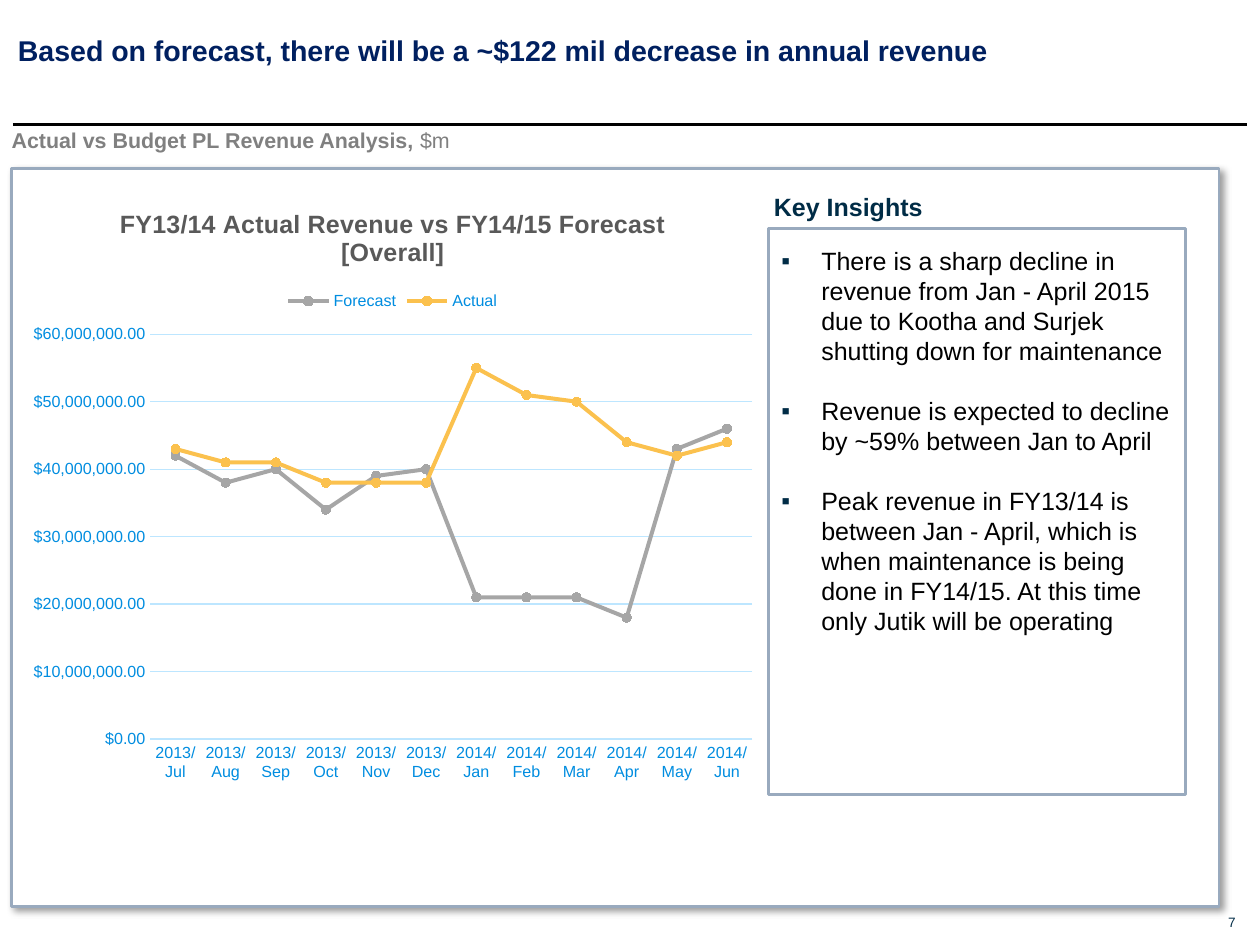
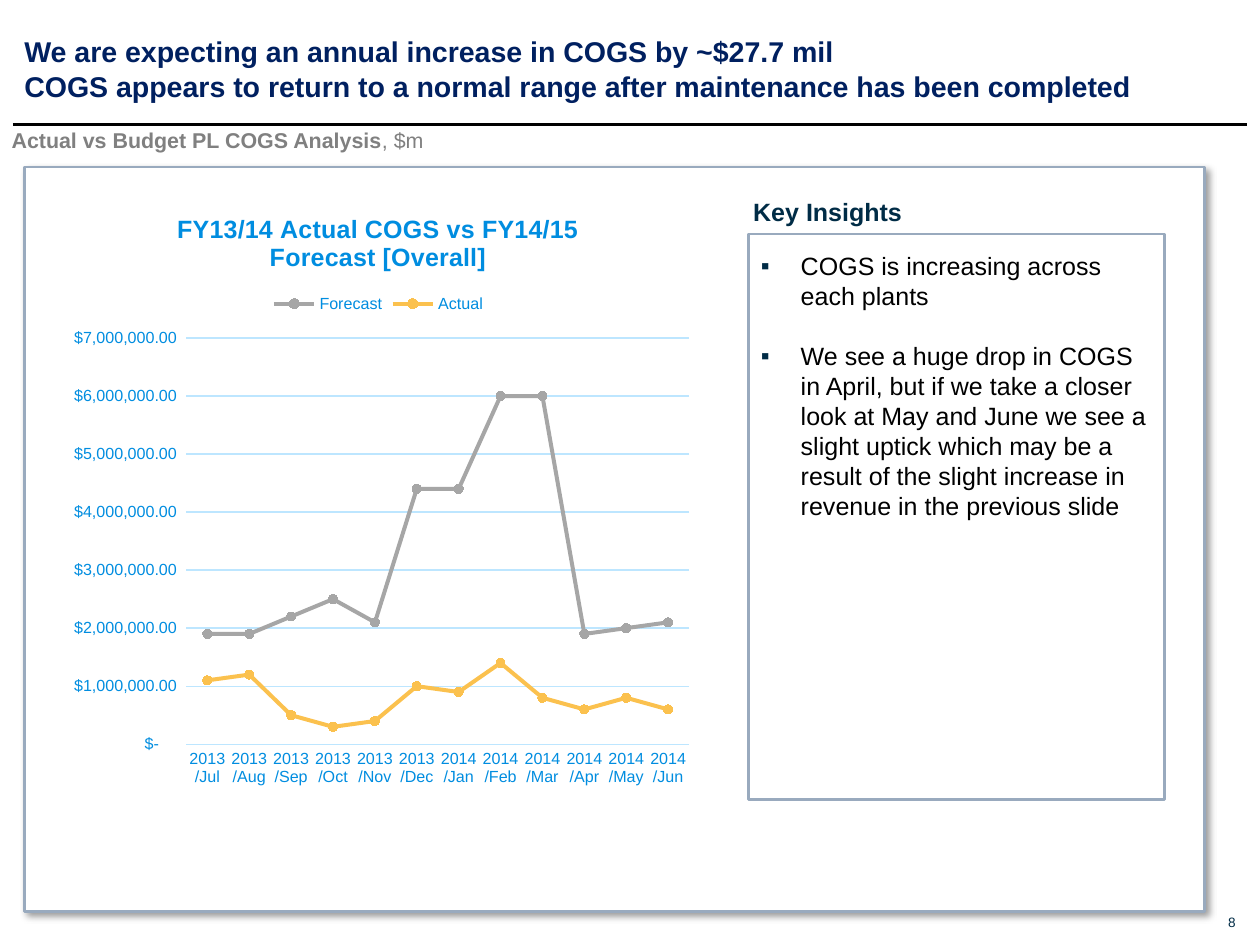
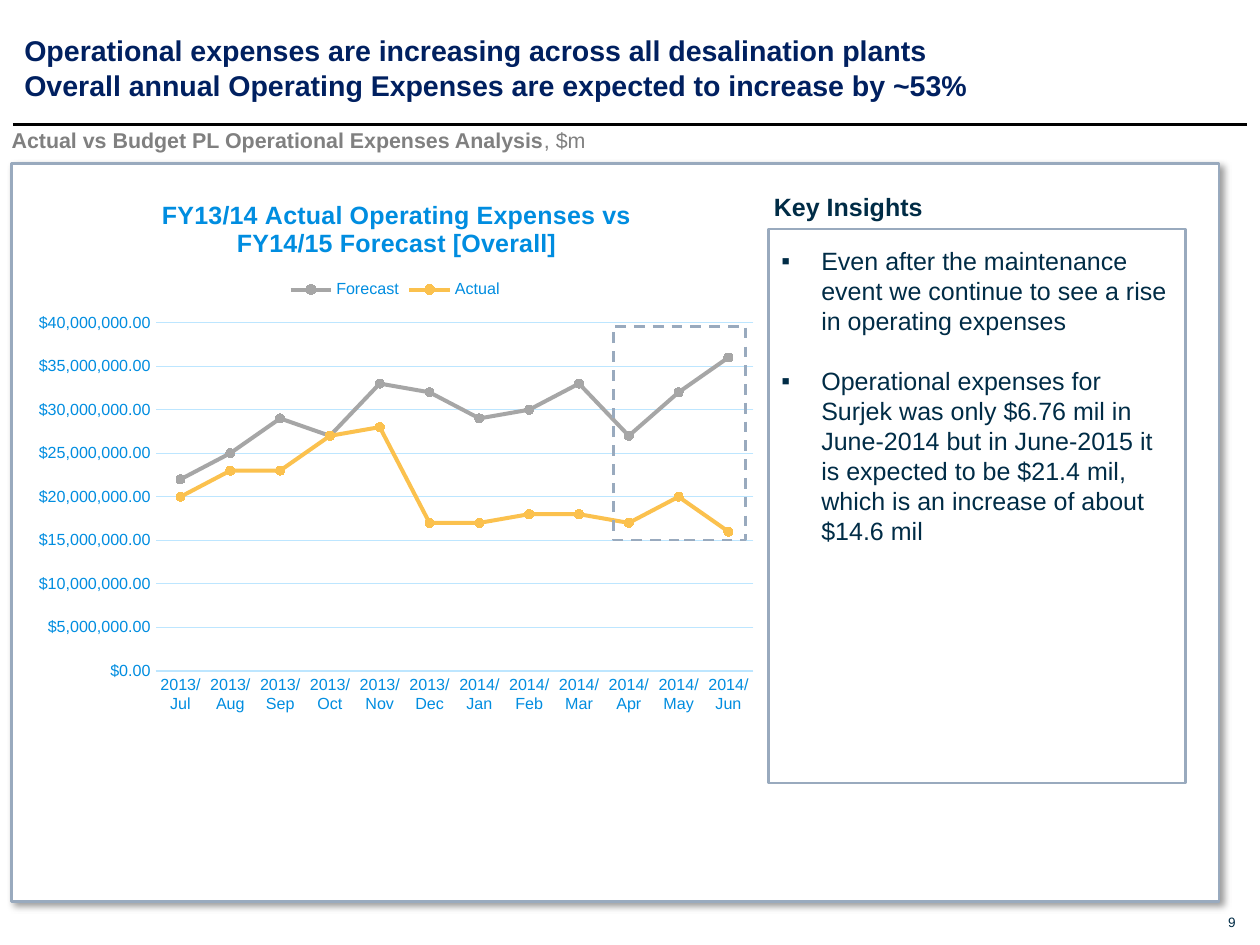
from lxml import etree
from pptx import Presentation
from pptx.chart.data import CategoryChartData
from pptx.dml.color import RGBColor
from pptx.enum import chart as ch, dml, shapes, text
from pptx.oxml import parse_xml
from pptx.oxml.ns import qn
from pptx.util import Inches, Pt

FONT = "Arial"
BLACK = RGBColor(0, 0, 0)
WHITE = RGBColor(0xFF, 0xFF, 0xFF)
NAVY = RGBColor(0x00, 0x20, 0x60)
INK = RGBColor(0x00, 0x2C, 0x46)
GRAY = RGBColor(0x80, 0x80, 0x80)
DARK = RGBColor(0x59, 0x59, 0x59)
EDGE = RGBColor(0x99, 0xAA, 0xBE)
BLUE = RGBColor(0x00, 0x8D, 0xE0)
GRID = RGBColor(0xBD, 0xE6, 0xFF)
SILVER = RGBColor(0xA6, 0xA6, 0xA6)
GOLD = RGBColor(0xFB, 0xC1, 0x4E)

MONTHS = ["2013/" + m for m in "Jul Aug Sep Oct Nov Dec".split()]
MONTHS += ["2014/" + m for m in "Jan Feb Mar Apr May Jun".split()]
MILLION = 1_000_000
DOLLARS = '"$"#,##0.00;[Red]\\-"$"#,##0.00'
LEDGER = '_("$"* #,##0.00_);_("$"* \\(#,##0.00\\);_("$"* "-"??_);_(@_)'
A_NS = 'xmlns:a="http://schemas.openxmlformats.org/drawingml/2006/main"'
SHADOW = (f'<a:effectLst {A_NS}><a:outerShdw blurRad="50800" dist="38100" '
          'dir="2700000" algn="tl" rotWithShape="0"><a:srgbClr val="000000">'
          '<a:alpha val="40000"/></a:srgbClr></a:outerShdw></a:effectLst>')


def style(font, size, color, bold=False):
    font.name, font.size, font.bold = FONT, Pt(size), bold
    font.color.rgb = color


def layout(box, frame, inner=False):
    """Manual chart layout: box and frame are in slide inches."""
    left, top, width, height = frame
    values = [("x", (box[0] - left) / width), ("y", (box[1] - top) / height)]
    if inner:
        values += [("w", box[2] / width), ("h", box[3] / height)]
    root = etree.Element(qn("c:layout"))
    manual = etree.SubElement(root, qn("c:manualLayout"))
    modes = [("layoutTarget", "inner")] if inner else []
    modes += [("xMode", "edge"), ("yMode", "edge")]
    for name, val in modes + [(n, f"{v:.4f}") for n, v in values]:
        etree.SubElement(manual, qn("c:" + name)).set("val", val)
    return root


class Deck:
    def __init__(self):
        self.prs = Presentation()
        self.prs.slide_width, self.prs.slide_height = Inches(9.8), Inches(7.35)
        self.slide = None

    def page(self, number, title, at, topic, unit):
        """Start a slide with its title, rule, subtitle and number."""
        self.slide = self.prs.slides.add_slide(self.prs.slide_layouts[6])
        self.rule()
        self.text((9.48, 7.11, 0.13, 0.13), [[(str(number), False)]], 7.6, INK,
                  align=text.PP_ALIGN.RIGHT, anchor=text.MSO_ANCHOR.MIDDLE)
        self.text((*at, 9.43, 0.54), [[(line, True)] for line in title],
                  16, NAVY, pitch=19.6)
        self.text((0.09, 0.99, 7.91, 0.2), [[(topic, True), (unit, False)]],
                  12, GRAY)

    def rule(self):
        line = self.slide.shapes.add_connector(
            shapes.MSO_CONNECTOR.STRAIGHT,
            Inches(0.1), Inches(0.97), Inches(9.7), Inches(0.97))
        line.line.color.rgb, line.line.width = BLACK, Pt(2)
        etree.SubElement(line._element.spPr, qn("a:effectLst"))

    def text(self, box, lines, size, color, inset=(0, 0), pitch=None,
             align=None, anchor=text.MSO_ANCHOR.TOP):
        """Each line is a list of (words, bold) runs."""
        frame = self.slide.shapes.add_textbox(*map(Inches, box)).text_frame
        frame.word_wrap, frame.vertical_anchor = True, anchor
        frame.margin_left = frame.margin_right = Inches(inset[0])
        frame.margin_top = frame.margin_bottom = Inches(inset[1])
        for i, runs in enumerate(lines):
            para = frame.add_paragraph() if i else frame.paragraphs[0]
            para.alignment = align
            if pitch:
                para.line_spacing = Pt(pitch)
            for words, bold in runs:
                run = para.add_run()
                run.text = words
                style(run.font, size, color, bold)
        return frame

    def frame(self, box, panel=False, dash=False):
        rect = self.slide.shapes.add_shape(
            shapes.MSO_SHAPE.RECTANGLE, *map(Inches, box))
        rect.shadow.inherit = False
        rect.line.color.rgb, rect.line.width = EDGE, Pt(1.5)
        if dash:
            rect.line.dash_style = dml.MSO_LINE.DASH
        if panel:
            rect.fill.solid()
            rect.fill.fore_color.rgb = WHITE
            props = rect._element.spPr
            props.replace(props.find(qn("a:effectLst")), parse_xml(SHADOW))
        else:
            rect.fill.background()

    def notes(self, left, top, height, points, color):
        """Key Insights heading over a framed bullet list."""
        self.frame((left, top, 3.24, height))
        self.text((left - 0.06, top - 0.34, 1.67, 0.34),
                  [[("Key Insights", True)]], 14, INK, (0.1, 0.05))
        body = self.text((left, top + 0.08, 3.24, height - 0.2),
                         [[(p, False)] for p in points], 14, color,
                         (0.1, 0.05), 16.8)
        for para in body.paragraphs:
            para.space_after = Pt(16.8)
            props = para._p.get_or_add_pPr()
            props.set("marL", str(Inches(0.31)))
            props.set("indent", str(-Inches(0.31)))
            tint = etree.SubElement(props, qn("a:buClr"))
            etree.SubElement(tint, qn("a:srgbClr")).set("val", str(INK))
            etree.SubElement(props, qn("a:buFont")).set("typeface", FONT)
            etree.SubElement(props, qn("a:buChar")).set("char", "▪")

    def chart(self, box, plot, key, title, tint, rows, top, step, form=DOLLARS):
        """Line chart; rows, top and step are in millions."""
        data = CategoryChartData()
        data.categories = MONTHS
        for name, row in zip(("Forecast", "Actual"), rows):
            data.add_series(name, [round(v * MILLION) for v in row])
        chart = self.slide.shapes.add_chart(
            ch.XL_CHART_TYPE.LINE_MARKERS, *map(Inches, box), data).chart
        style(chart.font, 10, INK)
        self.head(chart, title, tint)
        self.axes(chart, top, step, form)

        for line, color in zip(chart.plots[0].series, (SILVER, GOLD)):
            line.smooth = False
            line.format.line.color.rgb, line.format.line.width = color, Pt(2.25)
            mark = line.marker
            mark.style, mark.size = ch.XL_MARKER_STYLE.CIRCLE, 5
            mark.format.fill.solid()
            mark.format.fill.fore_color.rgb = color
            mark.format.line.color.rgb = color

        chart.has_legend = True
        legend = chart.legend
        legend.position = ch.XL_LEGEND_POSITION.TOP
        legend.include_in_layout = False
        style(legend.font, 9, BLUE)
        area = chart._chartSpace.chart.plotArea
        node = legend._element
        for part in (area, node):
            for old in part.findall(qn("c:layout")):
                part.remove(old)
        area.insert(0, layout(plot, box, inner=True))
        node.find(qn("c:legendPos")).addnext(layout(key, box))

    def head(self, chart, title, tint):
        chart.has_title = True
        chart.chart_title.include_in_layout = False
        frame = chart.chart_title.text_frame
        for i, line in enumerate(title):
            para = frame.add_paragraph() if i else frame.paragraphs[0]
            run = para.add_run()
            run.text = line
            style(run.font, 14, tint, True)

    def axes(self, chart, top, step, form):
        cat, val = chart.category_axis, chart.value_axis
        for axis in (cat, val):
            axis.major_tick_mark = axis.minor_tick_mark = ch.XL_TICK_MARK.NONE
            style(axis.tick_labels.font, 9, BLUE)
        val.minimum_scale, val.maximum_scale = 0, top * MILLION
        val.major_unit = step * MILLION
        val.tick_labels.number_format = form
        val.tick_labels.number_format_is_linked = False
        val.format.line.fill.background()
        for line in (cat.format.line, val.major_gridlines.format.line):
            line.color.rgb, line.width = GRID, Pt(0.75)


def main():
    deck = Deck()

    deck.page(7, ["Based on forecast, there will be a ~$122 mil decrease in "
                  "annual revenue"], (0.14, 0.25),
              "Actual vs Budget PL Revenue Analysis, ", "$m")
    deck.frame((0.09, 1.31, 9.39, 5.74), panel=True)
    deck.notes(5.98, 1.78, 4.4, [
        "There is a sharp decline in revenue from Jan - April 2015 due to "
        "Kootha and Surjek shutting down for maintenance",
        "Revenue is expected to decline by ~59% between Jan to April",
        "Peak revenue in FY13/14 is between Jan - April, which is when "
        "maintenance is being done in FY14/15. At this time only Jutik will "
        "be operating"], BLACK)
    deck.chart((0.14, 1.44, 5.83, 4.73), (1.17, 2.6, 4.68, 3.15), (2.2, 2.23),
               ["FY13/14 Actual Revenue vs FY14/15 Forecast", "[Overall]"],
               DARK,
               [[42, 38, 40, 34, 39, 40, 21, 21, 21, 18, 43, 46],
                [43, 41, 41, 38, 38, 38, 55, 51, 50, 44, 42, 44]], 60, 10)

    deck.page(8, ["We are expecting an annual increase in COGS by ~$27.7 mil",
                  "COGS appears to return to a normal range after maintenance "
                  "has been completed"], (0.19, 0.26),
              "Actual vs Budget PL COGS Analysis", ", $m")
    deck.frame((0.19, 1.3, 9.18, 5.79), panel=True)
    deck.chart((0.43, 1.48, 5.02, 4.73), (1.45, 2.63, 3.91, 3.16), (2.09, 2.25),
               ["FY13/14 Actual COGS vs FY14/15", "Forecast [Overall]"], BLUE,
               [[1.9, 1.9, 2.2, 2.5, 2.1, 4.4, 4.4, 6, 6, 1.9, 2, 2.1],
                [1.1, 1.2, .5, .3, .4, 1, .9, 1.4, .8, .6, .8, .6]],
               7, 1, LEDGER)
    deck.notes(5.82, 1.82, 4.4, [
        "COGS is increasing across each plants",
        "We see a huge drop in COGS in April, but if we take a closer look at "
        "May and June we see a slight uptick which may be a result of the "
        "slight increase in revenue in the previous slide"], BLACK)

    deck.page(9, ["Operational expenses are increasing across all desalination "
                  "plants", "Overall annual Operating Expenses are expected to "
                  "increase by ~53%"], (0.19, 0.25),
              "Actual vs Budget PL Operational Expenses Analysis", ", $m")
    deck.frame((0.09, 1.27, 9.39, 5.74), panel=True)
    deck.notes(5.98, 1.78, 4.31, [
        "Even after the maintenance event we continue to see a rise in "
        "operating expenses",
        "Operational expenses for Surjek was only $6.76 mil in June-2014 but "
        "in June-2015 it is expected to be $21.4 mil, which is an increase of "
        "about $14.6 mil"], INK)
    deck.chart((0.19, 1.38, 5.79, 4.26), (1.21, 2.51, 4.65, 2.71), (2.22, 2.14),
               ["FY13/14 Actual Operating Expenses vs",
                "FY14/15 Forecast [Overall]"], BLUE,
               [[22, 25, 29, 27, 33, 32, 29, 30, 33, 27, 32, 36],
                [20, 23, 23, 27, 28, 17, 17, 18, 18, 17, 20, 16]], 40, 5)
    deck.frame((4.77, 2.54, 1.03, 1.66), dash=True)

    deck.prs.save("out.pptx")


if __name__ == "__main__":
    main()
